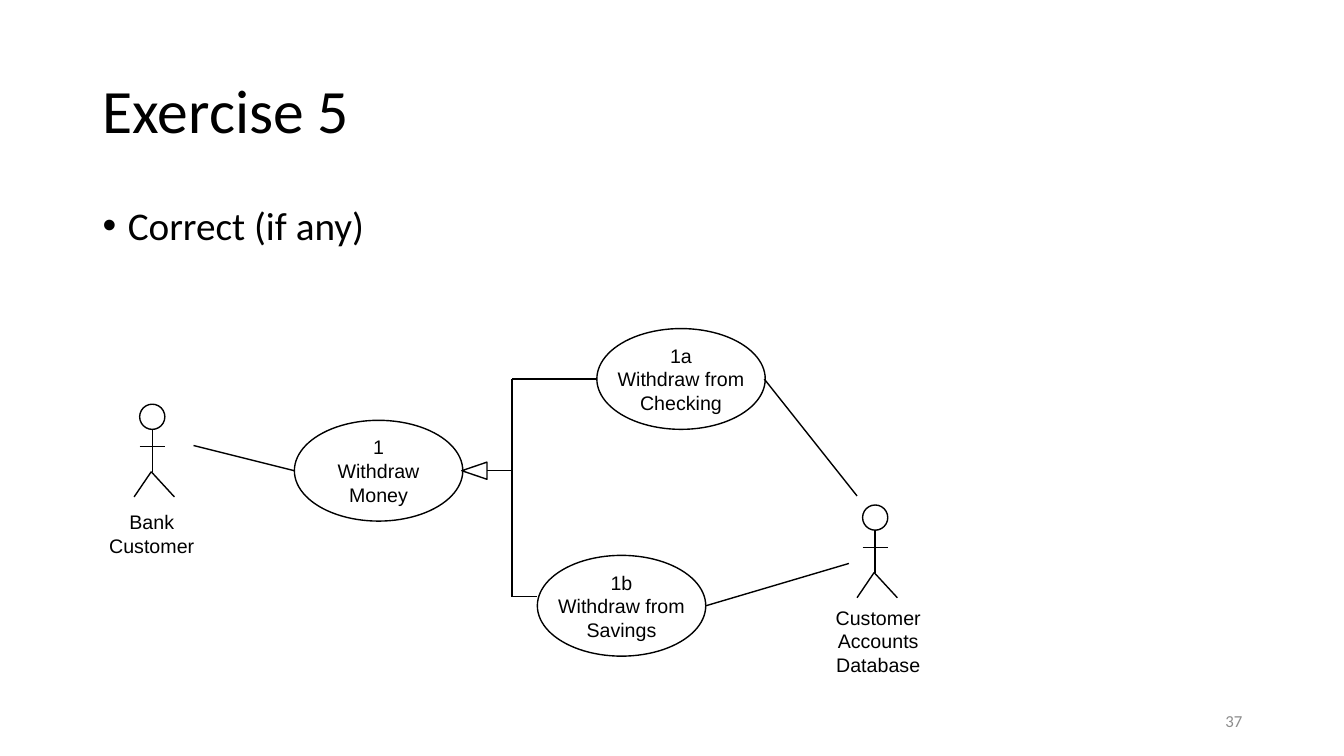
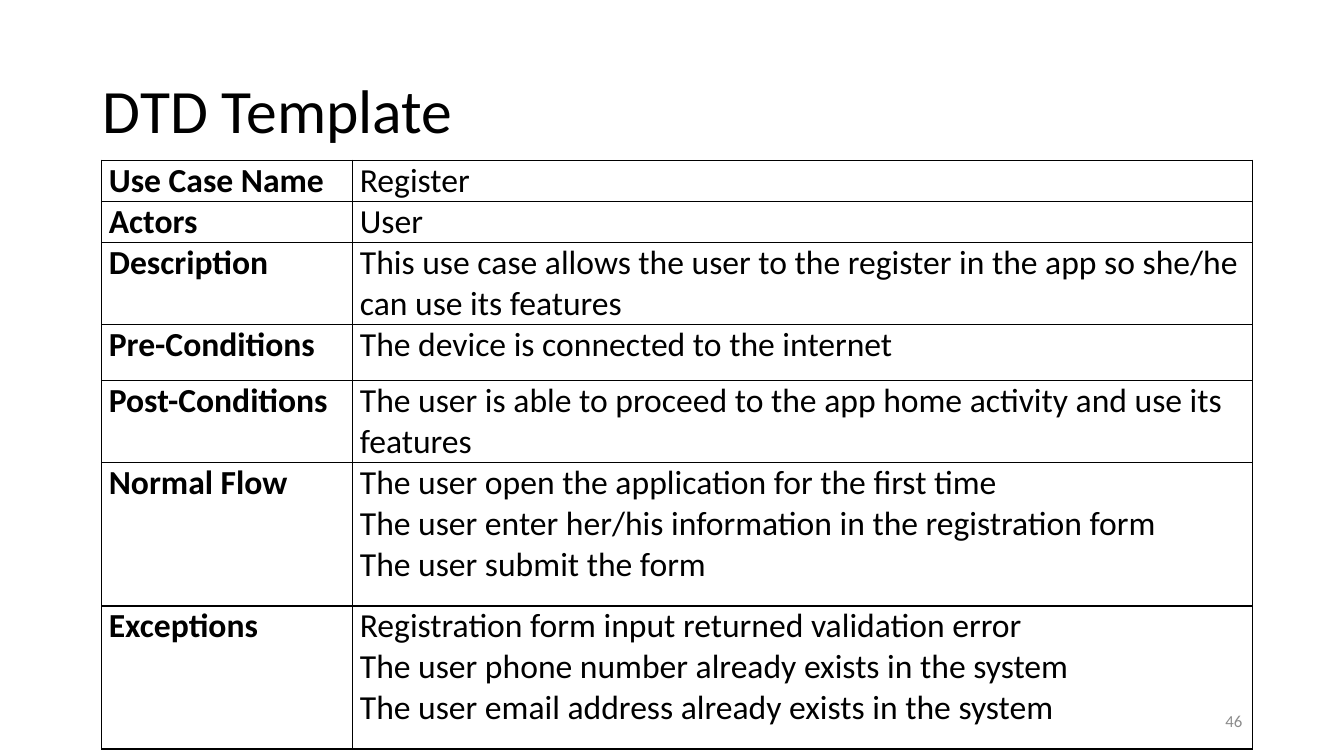
from lxml.etree import SubElement
from pptx import Presentation
from pptx.dml.color import RGBColor
from pptx.enum.shapes import MSO_CONNECTOR, MSO_SHAPE
from pptx.enum.text import MSO_ANCHOR, PP_ALIGN
from pptx.oxml.ns import qn
from pptx.util import Inches, Pt

BLACK = RGBColor(0x00, 0x00, 0x00)
WHITE = RGBColor(0xFF, 0xFF, 0xFF)
GREY = RGBColor(0x8C, 0x8C, 0x8C)
BODY = "Calibri"
LABEL = "Arial"
TITLE_ONLY = 5
OVAL_W, OVAL_H = 1.67, 1
HEAD = 0.25

CASES = [
    (2.92, 4.17, "1\nWithdraw\nMoney"),
    (5.33, 5.51, "1b\nWithdraw from\nSavings"),
    (5.92, 3.26, "1a\nWithdraw from\nChecking"),
]
ACTORS = [
    (1.51, 4.01, "Bank Customer", (0.92, 5.01, 1.17, 0.57)),
    (8.68, 5.01, "Customer Accounts Database", (8.17, 5.96, 1.08, 0.8)),
]
LINKS = [
    (1.92, 4.42, 2.92, 4.67),
    (7, 6.01, 8.42, 5.59),
    (7.58, 3.76, 8.5, 4.92),
    (5.08, 5.92, 5.08, 3.76),
    (5.08, 3.76, 5.92, 3.76),
    (5.08, 5.92, 5.33, 5.92),
    (4.83, 4.67, 5.08, 4.67),
]
ROWS = [
    (0.36, "Use Case Name", "Register"),
    (0.36, "Actors", "User"),
    (0.56, "Description",
     "This use case allows the user to the register in the app so she/he can use its features"),
    (0.56, "Pre-Conditions", "The device is connected to the internet"),
    (0.56, "Post-Conditions",
     "The user is able to proceed to the app home activity and use its features"),
    (1.42, "Normal Flow",
     "The user open the application for the first time\n"
     "The user enter her/his information in the registration form\n"
     "The user submit the form"),
    (1.42, "Exceptions",
     "Registration form input returned validation error\n"
     "The user phone number already exists in the system\n"
     "The user email address already exists in the system"),
]


def write(frame, text, size=14, font=LABEL, color=BLACK, bold=False,
          align=PP_ALIGN.LEFT, anchor=MSO_ANCHOR.TOP, wrap=True, space=1, bullet=False):
    """Fill a text frame, one paragraph for each line of text."""
    frame.word_wrap = wrap
    frame.vertical_anchor = anchor
    for i, line in enumerate(text.split("\n")):
        para = frame.paragraphs[0] if i == 0 else frame.add_paragraph()
        para.alignment = align
        para.line_spacing = space
        run = para.add_run()
        run.text = line
        run.font.size = Pt(size)
        run.font.name = font
        run.font.bold = bold
        run.font.color.rgb = color
        if bullet:
            para.space_before = Pt(10)
            props = para._p.get_or_add_pPr()
            props.set("marL", str(Inches(0.25)))
            props.set("indent", str(-Inches(0.25)))
            SubElement(props, qn("a:buFont"), typeface="Arial")
            SubElement(props, qn("a:buChar"), char="•")


def add_text(shapes, box, text, **style):
    """Add a text box at left, top, width, height."""
    frame = shapes.add_textbox(*map(Inches, box)).text_frame
    write(frame, text, **style)


def add_line(shapes, x1, y1, x2, y2):
    """Add a thin straight line without a shadow."""
    line = shapes.add_connector(MSO_CONNECTOR.STRAIGHT, *map(Inches, (x1, y1, x2, y2)))
    line.line.color.rgb = BLACK
    line.line.width = Pt(1)
    SubElement(line._element.spPr, qn("a:effectLst"))


def outline(shape):
    """Give a shape a white fill and a thin black line."""
    shape.shadow.inherit = False
    shape.fill.solid()
    shape.fill.fore_color.rgb = WHITE
    shape.line.color.rgb = BLACK
    shape.line.width = Pt(1)


def add_oval(shapes, x, y, w, h):
    """Add an outlined ellipse."""
    oval = shapes.add_shape(MSO_SHAPE.OVAL, *map(Inches, (x, y, w, h)))
    outline(oval)
    return oval


def add_case(shapes, x, y, text):
    """Add a use case ellipse with its name."""
    oval = add_oval(shapes, x, y, OVAL_W, OVAL_H)
    write(oval.text_frame, text, align=PP_ALIGN.CENTER,
          anchor=MSO_ANCHOR.MIDDLE, wrap=False)


def add_actor(shapes, x, y, text, box):
    """Add a grouped stick figure centred on x, with its label."""
    parts = shapes.add_group_shape().shapes
    add_oval(parts, x - HEAD / 2, y, HEAD, HEAD)
    neck, hip, foot = y + HEAD, y + 0.67, y + 0.92
    add_line(parts, x, neck, x, hip)
    for toe in (-0.18, 0.22):
        add_line(parts, x - 0.01, hip, x + toe, foot)
    add_line(parts, x - HEAD / 2, y + 0.42, x + HEAD / 2, y + 0.42)
    add_text(parts, box, text, align=PP_ALIGN.CENTER)


def add_arrow(shapes, x, y, w, h):
    """Add a hollow arrowhead whose tip points left at x, y."""
    path = shapes.build_freeform(Inches(x), Inches(y))
    path.add_line_segments([(Inches(x + w), Inches(y - h / 2)),
                            (Inches(x + w), Inches(y + h / 2))], close=True)
    outline(path.convert_to_shape())


def add_grid(shapes, x, y, widths, rows):
    """Add a plain bordered table with bold row heads."""
    high = sum(row[0] for row in rows)
    grid = shapes.add_table(len(rows), len(widths), Inches(x), Inches(y),
                            Inches(sum(widths)), Inches(high)).table
    grid.first_row = grid.horz_banding = False
    for col, width in zip(grid.columns, widths):
        col.width = Inches(width)
    for row, (height, *texts) in zip(grid.rows, rows):
        row.height = Inches(height)
        for i, (cell, text) in enumerate(zip(row.cells, texts)):
            cell.margin_left = cell.margin_right = Inches(0.07)
            cell.margin_top = cell.margin_bottom = 0
            write(cell.text_frame, text, size=24, font=BODY, bold=i == 0)
            add_edges(cell)
            cell.fill.background()


def add_edges(cell):
    """Draw thin black borders on all sides of a cell."""
    props = cell._tc.get_or_add_tcPr()
    for side in ("lnL", "lnR", "lnT", "lnB"):
        edge = SubElement(props, qn("a:" + side), w=str(Pt(1)))
        fill = SubElement(edge, qn("a:solidFill"))
        SubElement(fill, qn("a:srgbClr"), val=str(BLACK))


def add_slide(deck, title):
    """Add a slide with the shared title style and return its shapes."""
    shapes = deck.slides.add_slide(deck.slide_layouts[TITLE_ONLY]).shapes
    head = shapes.title
    head.left, head.top, head.width, head.height = map(Inches, (0.92, 0.4, 11.5, 1.45))
    write(head.text_frame, title, size=44, font=BODY,
          anchor=MSO_ANCHOR.MIDDLE, space=0.9)
    return shapes


def add_number(shapes, number):
    """Add the slide number at the lower right."""
    add_text(shapes, (9.42, 6.95, 3, 0.4), number, size=12, font=BODY, color=GREY,
             align=PP_ALIGN.RIGHT, anchor=MSO_ANCHOR.MIDDLE)


def main():
    """Build both slides and save the deck."""
    deck = Presentation()
    deck.slide_width, deck.slide_height = Inches(13.33), Inches(7.5)

    shapes = add_slide(deck, "Exercise 5")
    add_text(shapes, (0.92, 2, 11.5, 0.6), "Correct (if any)", size=28, font=BODY,
             space=0.9, bullet=True)
    for case in CASES:
        add_case(shapes, *case)
    for actor in ACTORS:
        add_actor(shapes, *actor)
    for link in LINKS:
        add_line(shapes, *link)
    add_arrow(shapes, 4.58, 4.67, 0.25, 0.17)
    add_number(shapes, "37")

    shapes = add_slide(deck, "DTD Template")
    add_grid(shapes, 1.01, 1.59, (2.49, 8.92), ROWS)
    add_number(shapes, "46")

    deck.save("out.pptx")


if __name__ == "__main__":
    main()
